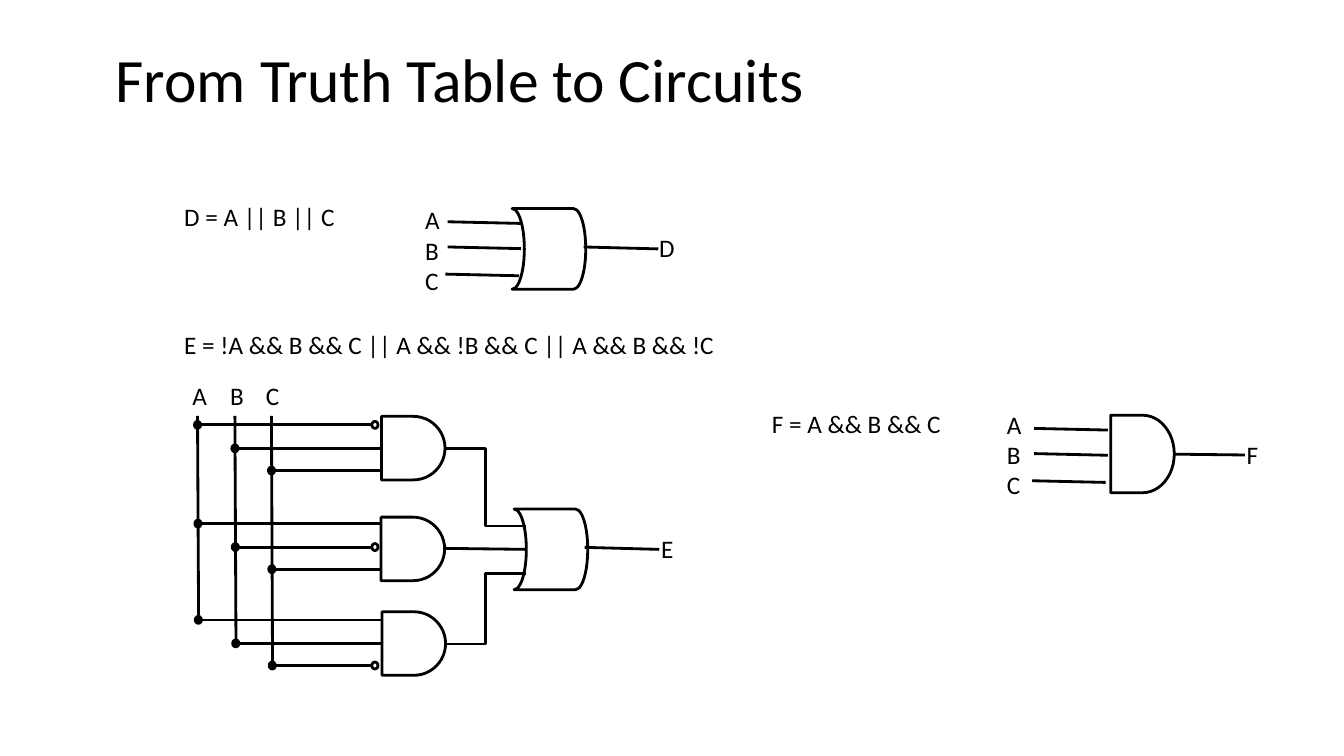
from pptx import Presentation
from pptx.util import Pt
from pptx.dml.color import RGBColor
from pptx.enum.shapes import MSO_SHAPE as Shape, MSO_CONNECTOR as Link
from pptx.enum.text import MSO_ANCHOR as Anchor
from pptx.oxml.ns import qn
from lxml.etree import SubElement

INK = "000000"
LABELS = [
    ("D = A || B || C", 124.5, 140.4, 123, 29),
    ("A\nB\nC", 296.6, 142.6, 25, 73),
    ("D", 463.7, 162.7, 26, 29),
    ("E", 465.1, 377.3, 23, 29),
    ("F = A && B && C", 544.3, 288, 137, 29),
    ("F", 883.4, 310.3, 23, 29),
    ("A\nB\nC", 712.1, 288.7, 25, 73),
]
GATES = [
    (Shape.FLOWCHART_STORED_DATA, 365.8, 149, 52.6, 57.6),
    (Shape.FLOWCHART_STORED_DATA, 367.2, 363.6, 52.6, 57.6),
    (Shape.FLOWCHART_DELAY, 793.4, 296.6, 45.4, 55.4),
    (Shape.FLOWCHART_DELAY, 272.5, 297.4, 45.4, 45.4),
    (Shape.FLOWCHART_DELAY, 272.2, 369.4, 45.4, 45.4),
    (Shape.FLOWCHART_DELAY, 272.9, 437, 45.4, 45.4),
]
OUTPUTS = [
    (416.9, 176.4, 470.2, 177.8),
    (417.6, 391, 470.9, 392.4),
    (838.8, 324.4, 889.2, 325),
    (317.5, 391.7, 375.8, 392.4),
]
ELBOWS = [(318.2, 320.4, 375.8, 375.8), (318.2, 460.1, 375.8, 409.7)]
INPUTS = [(319.7, 158.4), (738.7, 306)]
PINS = [(0, 0), (0, 18), (-1.5, 37.4)]
COLS = [141.1, 167.8, 193.9]
ROWS = [303.5, 374, 442.8]
STEPS = [0, 16.8, 32.6]
BUS_TOP, AND_LEFT, BUBBLE = 297, 272, 267.8

deck = Presentation()
deck.slide_width, deck.slide_height = Pt(960), Pt(540)
slide = deck.slides.add_slide(deck.slide_layouts[6])


def color(code):
    return RGBColor.from_string(code)


def write(text, x, y, w, h, size=18, wrap=False, anchor=Anchor.TOP,
          lead=None, after=None, tabs=()):
    box = slide.shapes.add_textbox(Pt(x), Pt(y), Pt(w), Pt(h))
    frame = box.text_frame
    frame.word_wrap = wrap
    frame.vertical_anchor = anchor
    frame.text = text
    for para in frame.paragraphs:
        if lead:
            para.line_spacing = lead
        if after:
            para.space_after = Pt(after)
        if tabs:
            stops = SubElement(para._p.get_or_add_pPr(), qn("a:tabLst"))
            for stop in tabs:
                SubElement(stops, qn("a:tab"), pos=str(Pt(stop)), algn="l")
        for run in para.runs:
            run.font.name = "Calibri"
            run.font.size = Pt(size)
            run.font.color.rgb = color(INK)


def draw(kind, x, y, w, h, fill=None):
    item = slide.shapes.add_shape(kind, Pt(x), Pt(y), Pt(w), Pt(h))
    item.shadow.inherit = False
    if fill:
        item.fill.solid()
        item.fill.fore_color.rgb = color(fill)
    else:
        item.fill.background()
    item.line.color.rgb = color(INK)
    item.line.width = Pt(2)
    return item


def wire(x1, y1, x2, y2, kind=Link.STRAIGHT):
    line = slide.shapes.add_connector(kind, Pt(x1), Pt(y1), Pt(x2), Pt(y2))
    line.line.color.rgb = color(INK)
    line.line.width = Pt(2)
    SubElement(line._element.spPr, qn("a:effectLst"))


def dot(x, y, fill=None):
    draw(Shape.OVAL, x - 2.2, y - 2.5, 4.4, 5, fill)


write("From Truth Table to Circuits", 75.6, 6.5, 828, 104.4, size=44,
      wrap=True, anchor=Anchor.MIDDLE, lead=0.9)
for label in LABELS:
    write(*label)
write("E = !A && B && C || A && !B && C || A && B && !C",
      124.5, 230.4, 397.5, 31, lead=1.07, after=8)
write("A\tB\tC", 130.3, 267.8, 78, 29, wrap=True, tabs=(27, 52.6))

for kind, *area in GATES:
    gate = draw(kind, *area)
    if kind == Shape.FLOWCHART_STORED_DATA:
        gate.rotation = 180
for ends in OUTPUTS:
    wire(*ends)
for ends in ELBOWS:
    wire(*ends, kind=Link.ELBOW)
for x, y in INPUTS:
    for dx, dy in PINS:
        wire(x + dx, y + dy, x + dx + 52.6, y + dy + 1.2)

for col, step in zip(COLS, STEPS):
    wire(col, BUS_TOP, col + 0.8, ROWS[-1] + step + 2.5)
for row, top in enumerate(ROWS):
    for pin, (col, step) in enumerate(zip(COLS, STEPS)):
        x, y = col + 0.3 * row, top + step
        negated = pin == row
        wire(x, y, BUBBLE - 2.2 if negated else AND_LEFT, y)
        dot(x, y, INK)
        if negated:
            dot(BUBBLE, y)

deck.save("out.pptx")
